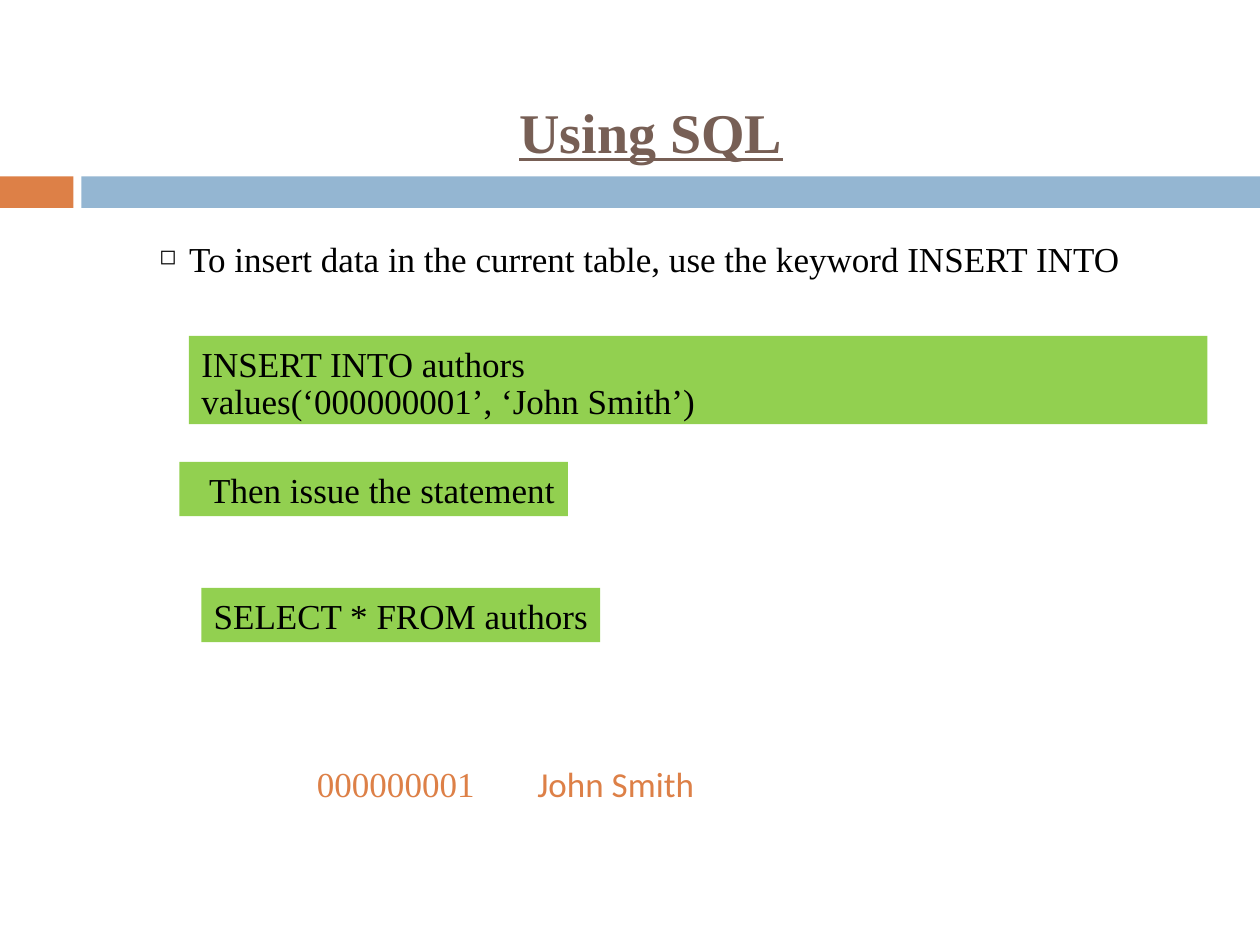
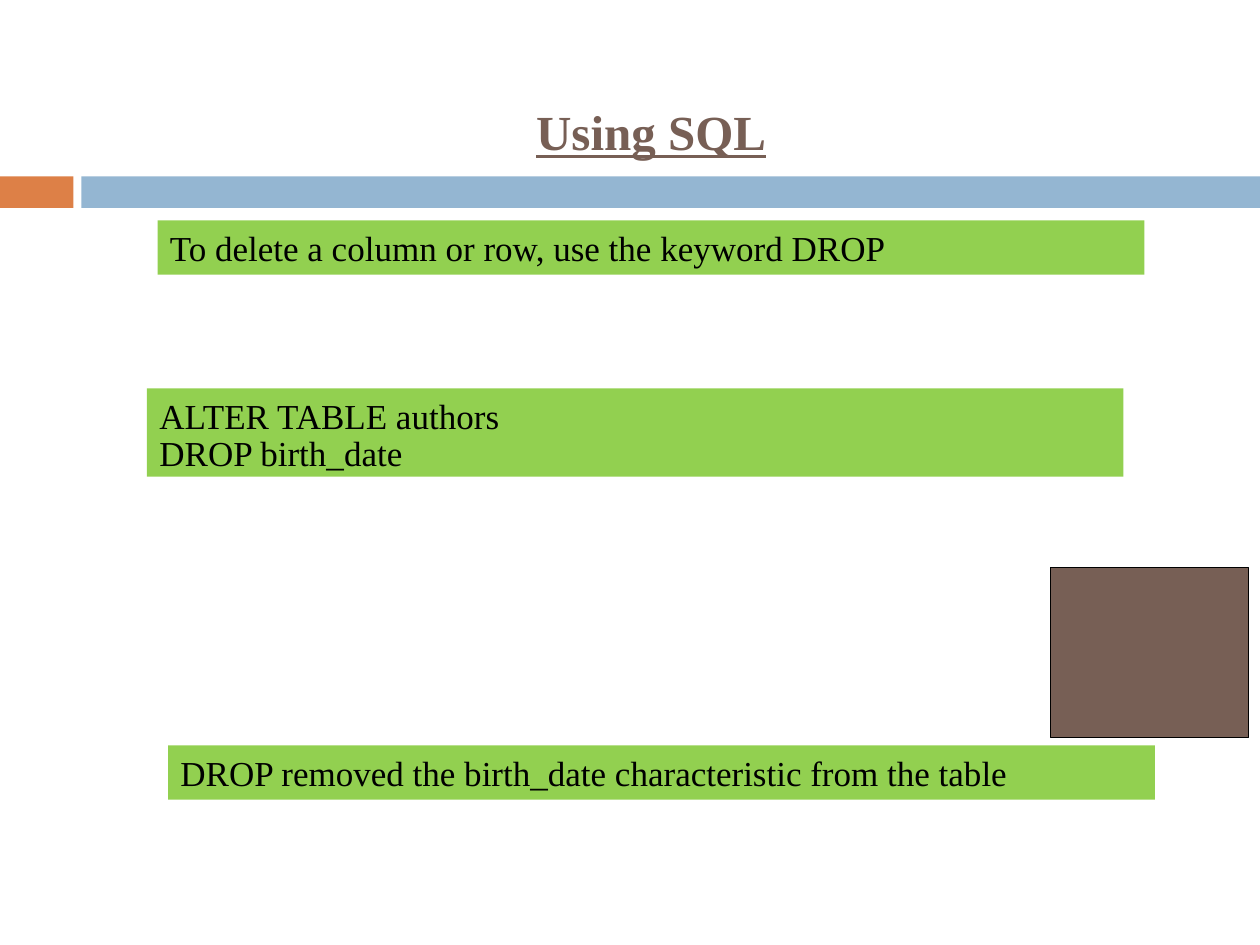
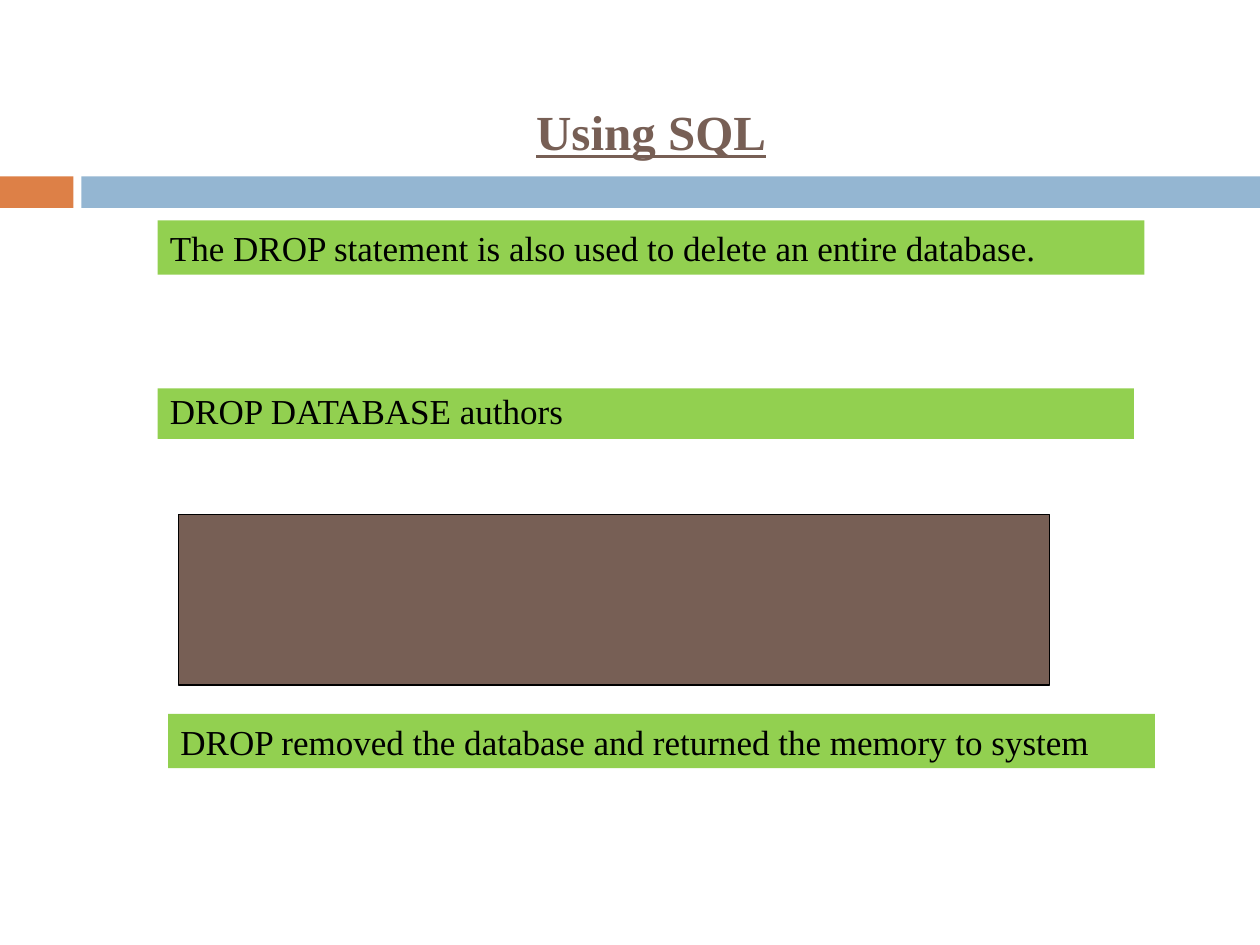
from dataclasses import dataclass

from lxml.etree import SubElement
from pptx import Presentation
from pptx.dml.color import RGBColor as RGB
from pptx.enum.shapes import MSO_SHAPE as Shape
from pptx.enum.text import MSO_ANCHOR as Anchor, PP_ALIGN as Align
from pptx.oxml.ns import qn
from pptx.util import Pt


@dataclass(frozen=True)
class Theme:
    black: str = "000000"
    brown: str = "775F55"
    orange: str = "DD8047"
    blue: str = "94B6D2"
    green: str = "92D050"
    serif: str = "Times New Roman"
    sans: str = "Calibri"
    body: int = 20
    head: int = 28
    big: int = 32
    tight: float = 0.9
    wide: int = 720
    high: int = 540


T = Theme()
LINE = 31       # height of a one-line label
PAIR = 50.4     # height of a two-line label


def rect(slide, x, y, w, h, fill, line=None):
    box = slide.shapes.add_shape(Shape.RECTANGLE, Pt(x), Pt(y), Pt(w), Pt(h))
    box.shadow.inherit = False
    box.fill.solid()
    box.fill.fore_color.rgb = RGB.from_string(fill)
    if line:
        box.line.color.rgb = RGB.from_string(line)
        box.line.width = Pt(0.75)
    else:
        box.line.fill.background()


def indent(para, left, first=0):
    props = para._p.get_or_add_pPr()
    props.set("marL", str(Pt(left)))
    props.set("indent", str(Pt(first)))
    return props


def bullet(para, left):
    """Hang a small square mark to the left of the paragraph."""
    props = indent(para, left, -left)
    SubElement(props, qn("a:buSzPct")).set("val", "60000")
    SubElement(props, qn("a:buChar")).set("char", "◻")


def text(slide, words, x, y, w, h=LINE, *, fill=None, size=T.body, font=T.serif,
         color=T.black, bold=False, line=False, align=Align.LEFT,
         anchor=Anchor.TOP, snug=False, gaps=(), left=0, mark=False):
    """Place one paragraph per line of words.

    gaps holds the line spacings; snug lets the text run to the right edge.
    """
    box = slide.shapes.add_textbox(Pt(x), Pt(y), Pt(w), Pt(h))
    if fill:
        box.fill.solid()
        box.fill.fore_color.rgb = RGB.from_string(fill)
    frame = box.text_frame
    frame.word_wrap = True
    frame.vertical_anchor = anchor
    if snug:
        frame.margin_right = 0
    frame.text = words
    for para in frame.paragraphs:
        para.alignment = align
        face = para.font
        face.name, face.size = font, Pt(size)
        face.bold, face.underline = bold, line
        face.color.rgb = RGB.from_string(color)
        if mark:
            bullet(para, left)
        elif left:
            indent(para, left)
    for para, gap in zip(frame.paragraphs, gaps):
        para.line_spacing = gap


def label(slide, words, x, y, w, h=LINE, **style):
    text(slide, words, x, y, w, h, fill=T.green, **style)


def code(slide, words, x, y, w):
    label(slide, words, x, y, w, PAIR, gaps=(1, T.tight))


def start(deck, size=T.head):
    """Add a slide with the two bands and the title."""
    slide = deck.slides.add_slide(deck.slide_layouts[6])
    rect(slide, 0, 100.8, 42, 18, T.orange)
    rect(slide, 46.5, 100.8, T.wide - 46.5, 18, T.blue)
    text(slide, "Using SQL", 168, 30, 408, 90, size=size, color=T.brown,
         bold=True, line=True, align=Align.CENTER, anchor=Anchor.MIDDLE)
    return slide


def insert(deck):
    slide = start(deck, T.big)
    text(slide, "To insert data in the current table, use the keyword INSERT INTO",
         84, 132, 594, 90, left=17, mark=True)
    label(slide, "Then issue the statement", 102.5, 264, 222, snug=True, left=10)
    label(slide, "SELECT * FROM authors", 115, 336, 228, snug=True)
    code(slide, "INSERT INTO authors\nvalues(‘000000001’, ‘John Smith’)", 108, 192, 582)
    text(slide, "000000001", 174, 432, 120, color=T.orange)
    text(slide, "John Smith", 300, 432, 186, color=T.orange, font=T.sans)


def column(deck):
    slide = start(deck)
    code(slide, "ALTER TABLE authors\nDROP birth_date", 84, 222, 558)
    label(slide, "To delete a column or row, use the keyword DROP", 90, 126, 564)
    label(slide, "DROP removed the birth_date characteristic from the table",
          96, 426, 564)
    rect(slide, 600.3, 324.3, 113.2, 97.2, T.brown, T.black)


def base(deck):
    slide = start(deck)
    label(slide, "DROP DATABASE authors", 90, 222, 558, 28.8, gaps=(T.tight,))
    label(slide, "The DROP statement is also used to delete an entire database.",
          90, 126, 564)
    label(slide, "DROP removed the database and returned the memory to system",
          96, 408, 564)
    rect(slide, 102, 294, 497.8, 97.4, T.brown, T.black)


def main():
    deck = Presentation()
    deck.slide_width, deck.slide_height = Pt(T.wide), Pt(T.high)
    for build in (insert, column, base):
        build(deck)
    deck.save("out.pptx")


if __name__ == "__main__":
    main()
